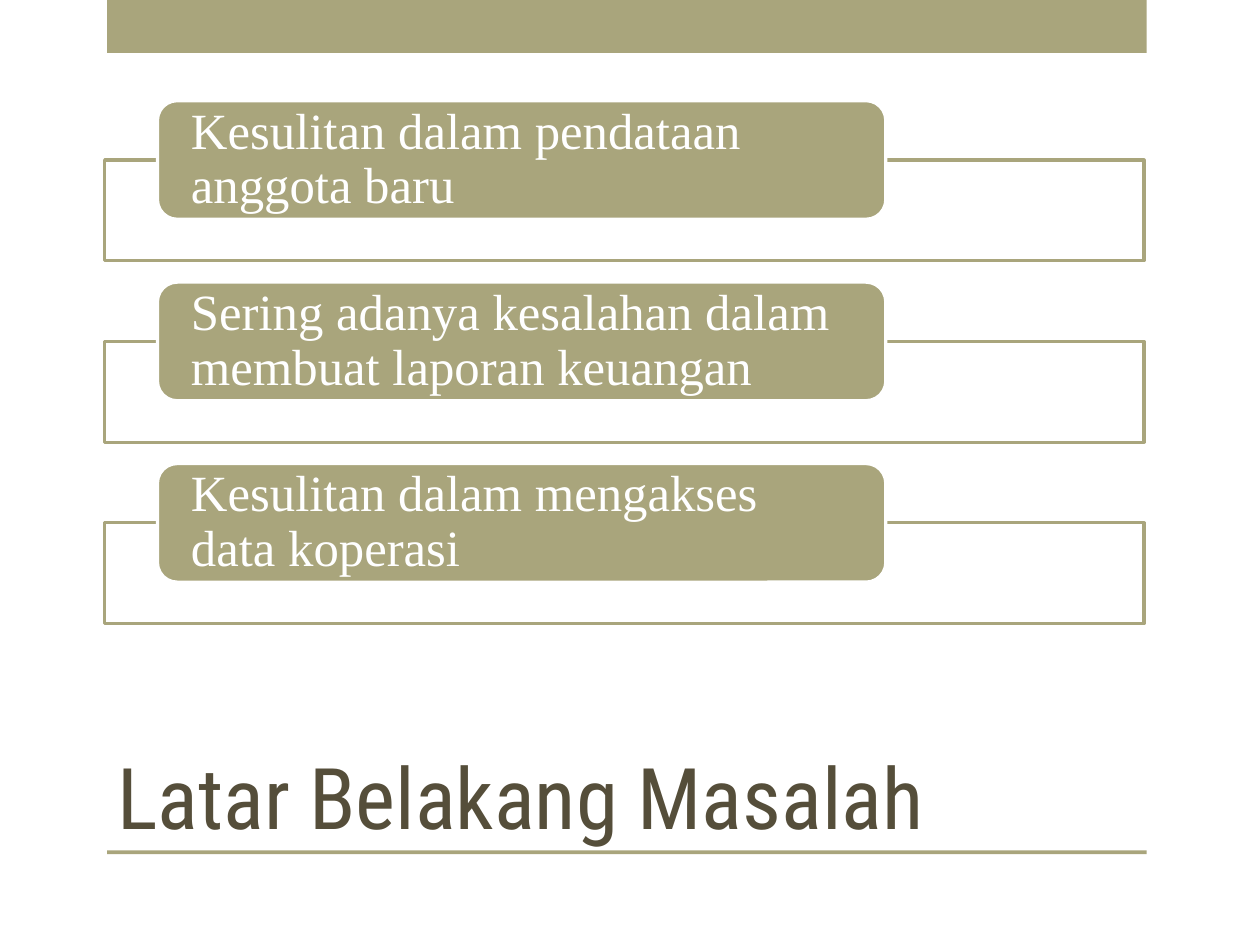
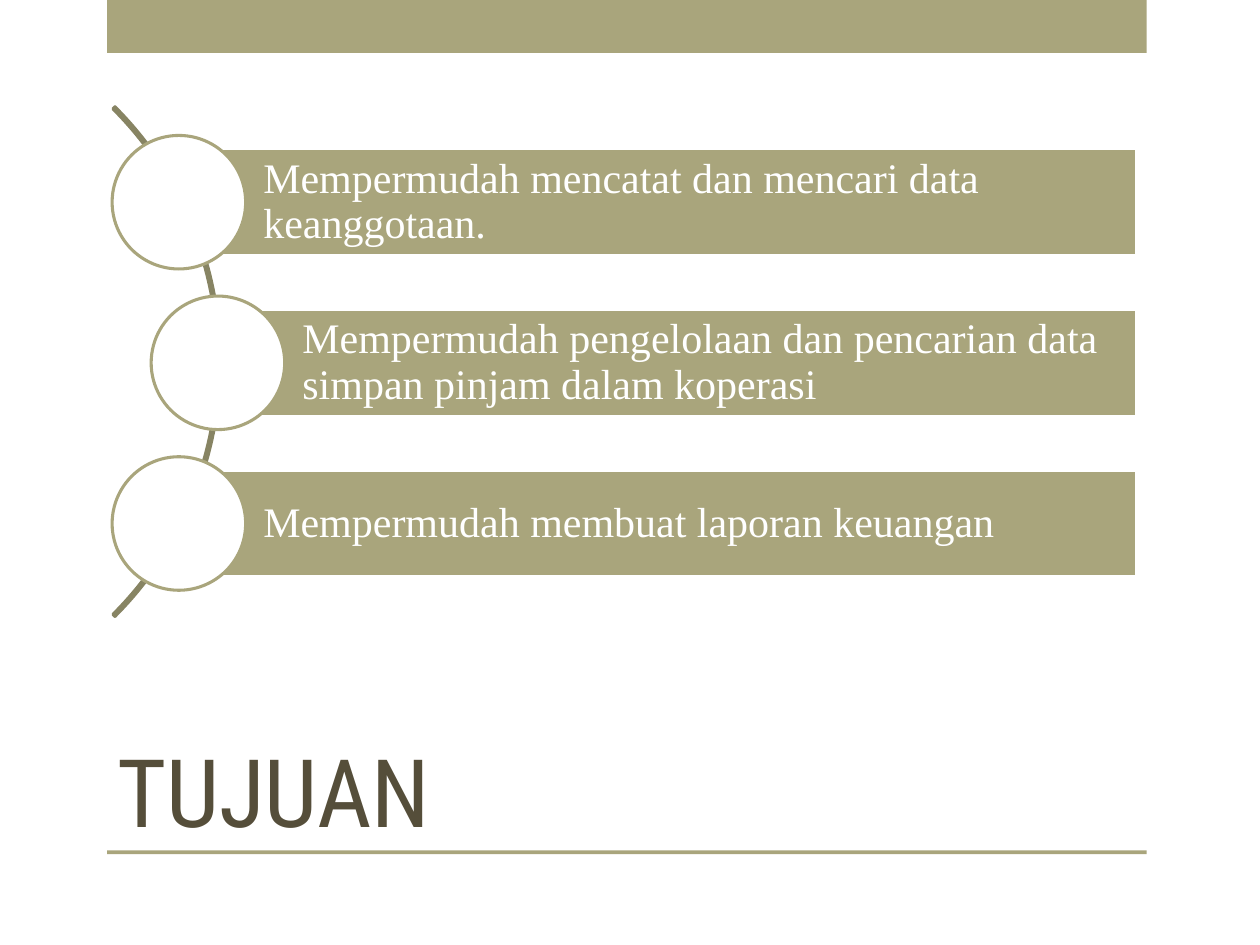
"""Build two slides on a cooperative's data system: the problem background and the goals."""
from lxml.etree import SubElement
from pptx import Presentation
from pptx.dml.color import RGBColor
from pptx.enum.shapes import MSO_SHAPE as Shape
from pptx.enum.text import MSO_ANCHOR as Anchor, MSO_AUTO_SIZE as AutoSize, PP_ALIGN as Align
from pptx.oxml.ns import qn
from pptx.util import Inches, Pt

OLIVE = RGBColor(0xA9, 0xA5, 0x7C)
DARK_OLIVE = RGBColor(0x87, 0x84, 0x63)
BROWN = RGBColor(0x55, 0x4E, 0x3A)
WHITE = RGBColor(0xFF, 0xFF, 0xFF)
TITLE_FONT = "Roboto Condensed"
BODY_FONT = "Times New Roman"

deck = Presentation()
deck.slide_width, deck.slide_height = Inches(10), Inches(7.5)
COLUMN = deck.slide_width / 100
ROW = deck.slide_height / 75
LEFT, SPAN = 8.3, 82.5


def draw(slide, kind, left, top, width, height, fill=None, line=None):
    drawn = slide.shapes.add_shape(
        kind, round(left * COLUMN), round(top * ROW), round(width * COLUMN), round(height * ROW))
    drawn.shadow.inherit = False
    if fill is None:
        drawn.fill.background()
    else:
        drawn.fill.solid()
        drawn.fill.fore_color.rgb = fill
    if line is None:
        drawn.line.fill.background()
    else:
        drawn.line.color.rgb = line
        drawn.line.width = Pt(1.75)
    return drawn


def write(holder, text, font, size, color, insets, anchor):
    frame = holder.text_frame
    frame.word_wrap = True
    frame.auto_size = AutoSize.NONE
    frame.vertical_anchor = anchor
    frame.margin_left, frame.margin_right = (round(inset * COLUMN) for inset in insets[:2])
    frame.margin_top, frame.margin_bottom = (round(inset * ROW) for inset in insets[2:])
    paragraph = frame.paragraphs[0]
    paragraph.alignment = Align.LEFT
    paragraph.line_spacing = 0.9
    run = paragraph.add_run()
    run.text = text
    run.font.name = font
    run.font.size = Pt(size)
    run.font.color.rgb = color


slides = []
for heading, size in (("Latar Belakang Masalah", 48.6), ("TUJUAN", 54)):
    slide = deck.slides.add_slide(deck.slide_layouts[5])
    for top, height in ((0, 4.2), (67.5, 0.3)):
        draw(slide, Shape.RECTANGLE, 8.5, top, SPAN, height, OLIVE)
    title = slide.shapes.title
    title.left, title.top = round(LEFT * COLUMN), round(50 * ROW)
    title.width, title.height = round(74.2 * COLUMN), round(17.5 * ROW)
    write(title, heading, TITLE_FONT, size, BROWN, (1, 1, 0.5, 0.2), Anchor.BOTTOM)
    slides.append(slide)
background, goals = slides

problems = (
    "Kesulitan dalam pendataan anggota baru",
    "Sering adanya kesalahan dalam membuat laporan keuangan",
    "Kesulitan dalam mengakses data koperasi",
)
for index, problem in enumerate(problems):
    top = 8 + 14.4 * index
    frame_box = draw(background, Shape.RECTANGLE, LEFT, top + 4.7, SPAN, 8, WHITE, OLIVE)
    white_fill = frame_box.fill._xPr.find(qn("a:solidFill"))[0]
    SubElement(white_fill, qn("a:alpha")).set("val", "90000")
    label = draw(background, Shape.ROUNDED_RECTANGLE, 12.5, top, 57.8, 9.4, OLIVE, WHITE)
    write(label, problem, BODY_FONT, 29, WHITE, (2.2, 2.2, 0, 0), Anchor.MIDDLE)

arc = draw(goals, Shape.BLOCK_ARC, -39.7, 0.1, 57.2, 57.2, line=DARK_OLIVE)
for index, value in enumerate((189, 27, 0.004)):
    arc.adjustments[index] = value

aims = (
    ("Mempermudah mencatat dan mencari data keanggotaan.", 0),
    ("Mempermudah pengelolaan dan pencarian data simpan pinjam dalam koperasi", 3.1),
    ("Mempermudah membuat laporan keuangan", 0),
)
BAR_RIGHT = 90.2
for index, (aim, indent) in enumerate(aims):
    center = 16.05 + 12.75 * index
    bar_left = 14.2 + indent
    bar = draw(goals, Shape.RECTANGLE, bar_left, center - 4.25, BAR_RIGHT - bar_left, 8.5, OLIVE, WHITE)
    write(bar, aim, BODY_FONT, 24, WHITE, (6.7, 0.7, 0.7, 0.7), Anchor.MIDDLE)
    draw(goals, Shape.OVAL, bar_left - 5.3, center - 5.3, 10.6, 10.6, WHITE, OLIVE)

deck.save("out.pptx")
